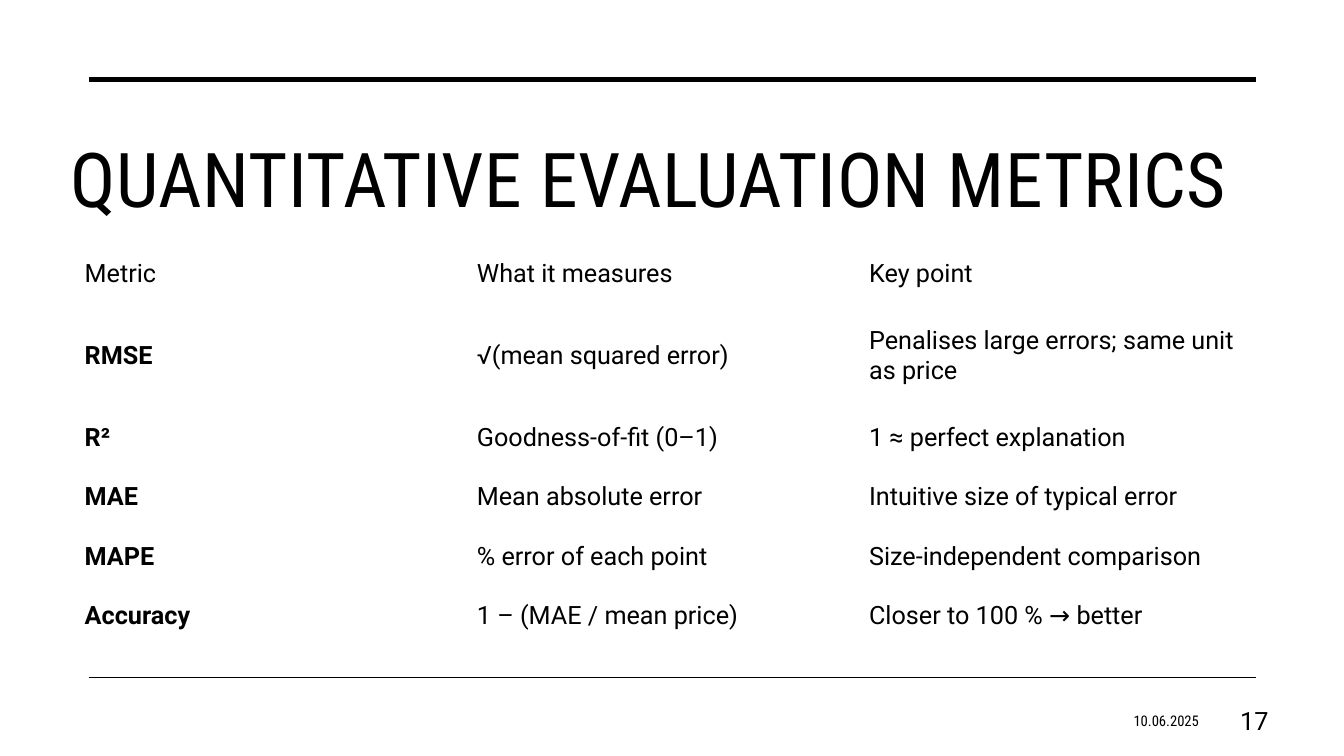
from pptx import Presentation
from pptx.dml.color import RGBColor
from pptx.enum import shapes, text
from pptx.oxml import parse_xml
from pptx.oxml.ns import nsdecls
from pptx.util import Inches, Pt

TITLE = "QUANTITATIVE EVALUATION METRICS"
ROWS = [
    ("Metric", "What it measures", "Key point"),
    ("RMSE", "√(mean squared error)", "Penalises large errors; same unit as price"),
    ("R²", "Goodness-of-fit (0–1)", "1 ≈ perfect explanation"),
    ("MAE", "Mean absolute error", "Intuitive size of typical error"),
    ("MAPE", "% error of each point", "Size-independent comparison"),
    ("Accuracy", "1 – (MAE / mean price)", "Closer to 100 % → better"),
]
COLORS = {"ink": "000000"}
BODY, HEAD = "Roboto", "Roboto Condensed"
WIDE, HIGH = 13.33, 7.5
LEFT, RIGHT = 0.88, 12.46
RULES = [(0.79, 3.5), (6.72, 1)]  # height on the slide, line width
FOOTER = [  # wording, left, width, format
    ("10.06.2025", 9.15, 2.84, {"name": HEAD, "size": Pt(10.5)}),
    ("17", 11.94, 0.74, {"name": BODY, "size": Pt(18)}),
]
FOOT_TOP, FOOT_HIGH = 6.95, 0.4
GRID = {"left": 0.74, "top": 2.42, "col": 3.89, "row": 0.59, "tall": 1.04}
INK = RGBColor.from_string(COLORS["ink"])


def style(font, **look):
    for key, value in look.items():
        setattr(font, key, value)
    font.color.rgb = INK


def place(shape, *box):
    for key, value in zip(("left", "top", "width", "height"), box):
        setattr(shape, key, Inches(value))


def add_rule(slide, top, width):
    line = slide.shapes.add_connector(
        shapes.MSO_CONNECTOR.STRAIGHT,
        Inches(LEFT), Inches(top), Inches(RIGHT), Inches(top))
    line.line.width = Pt(width)
    line.line.color.rgb = INK
    line._element.spPr.append(parse_xml(f"<a:effectLst {nsdecls('a')}/>"))


def add_title(slide):
    title = slide.shapes.title
    place(title, 0.6, 0.95, 12.72, 1.31)
    frame = title.text_frame
    frame.text = TITLE
    frame.auto_size = text.MSO_AUTO_SIZE.NONE
    frame.vertical_anchor = text.MSO_ANCHOR.BOTTOM
    para = frame.paragraphs[0]
    para.alignment = text.PP_ALIGN.LEFT
    run = para.runs[0]
    style(run.font, name=HEAD, size=Pt(54))
    run.font._element.set("spc", "30")


def add_metrics(slide):
    heights = [GRID["row"]] * len(ROWS)
    heights[1] = GRID["tall"]
    count = len(ROWS[0])
    table = slide.shapes.add_table(
        len(ROWS), count, Inches(GRID["left"]), Inches(GRID["top"]),
        Inches(GRID["col"] * count), Inches(sum(heights))).table
    table.first_row = table.horz_banding = False
    for col in table.columns:
        col.width = Inches(GRID["col"])
    for r, (words, height) in enumerate(zip(ROWS, heights)):
        table.rows[r].height = Inches(height)
        for c, word in enumerate(words):
            cell = table.cell(r, c)
            cell.text = word
            cell.fill.background()
            cell.vertical_anchor = text.MSO_ANCHOR.MIDDLE
            style(cell.text_frame.paragraphs[0].runs[0].font,
                  name=BODY, size=Pt(18), bold=r > 0 and c == 0)


def add_footer(slide, words, left, width, look):
    box = slide.shapes.add_textbox(0, 0, 0, 0)
    place(box, left, FOOT_TOP, width, FOOT_HIGH)
    frame = box.text_frame
    frame.word_wrap = True
    frame.vertical_anchor = text.MSO_ANCHOR.MIDDLE
    frame.text = words
    para = frame.paragraphs[0]
    para.alignment = text.PP_ALIGN.RIGHT
    style(para.runs[0].font, **look)


def main():
    deck = Presentation()
    deck.slide_width, deck.slide_height = Inches(WIDE), Inches(HIGH)
    slide = deck.slides.add_slide(deck.slide_layouts.get_by_name("Title Only"))
    for rule in RULES:
        add_rule(slide, *rule)
    add_title(slide)
    for part in FOOTER:
        add_footer(slide, *part)
    add_metrics(slide)
    deck.save("out.pptx")


if __name__ == "__main__":
    main()
